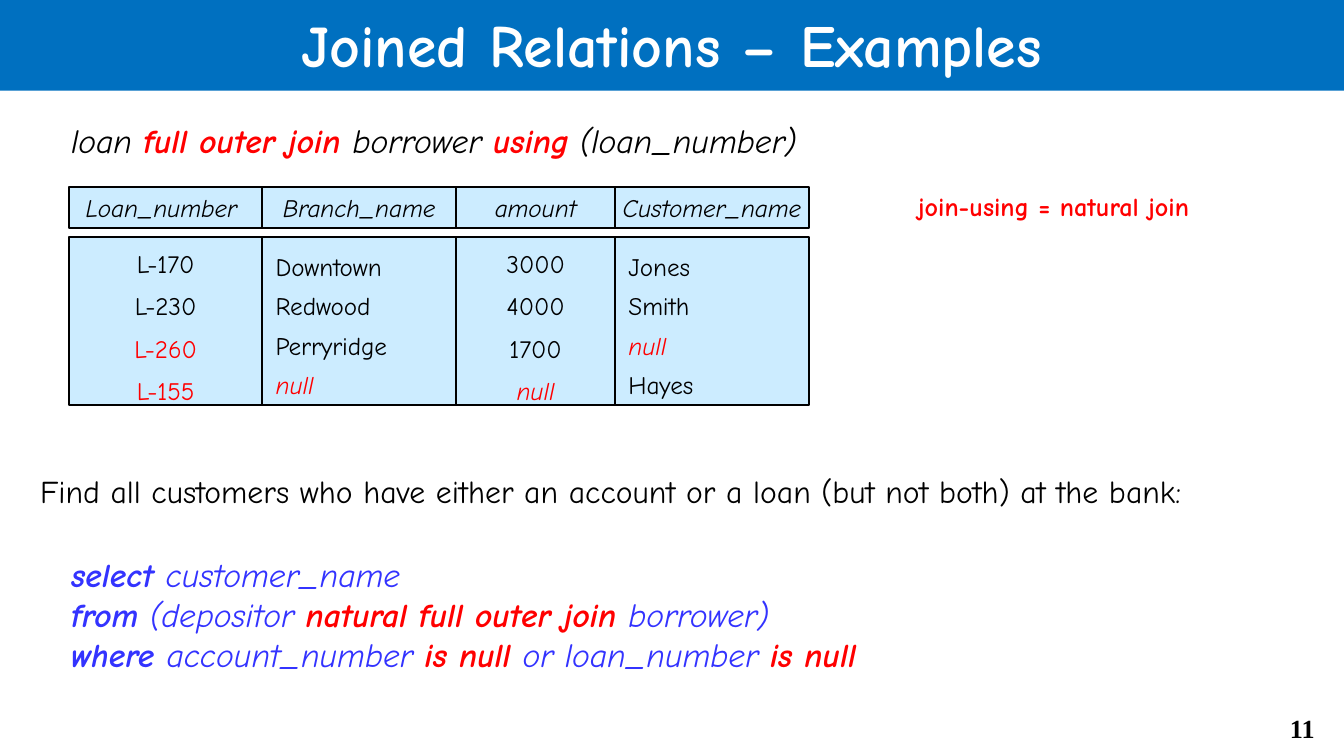
from dataclasses import dataclass
from itertools import accumulate

from pptx import Presentation
from pptx.dml.color import RGBColor
from pptx.enum.shapes import MSO_SHAPE
from pptx.enum.text import MSO_ANCHOR, PP_ALIGN
from pptx.shapes.autoshape import Shape
from pptx.shapes.group import GroupShape
from pptx.slide import Slide
from pptx.text.text import TextFrame, _Paragraph
from pptx.util import Pt


@dataclass(frozen=True)
class Theme:
    font: str = "Comic Neue"
    number_font: str = "Times New Roman"
    black: RGBColor = RGBColor(0, 0, 0)
    white: RGBColor = RGBColor(255, 255, 255)
    red: RGBColor = RGBColor(255, 0, 0)
    query_blue: RGBColor = RGBColor(0x33, 0x33, 0xFF)
    banner_blue: RGBColor = RGBColor(0x00, 0x70, 0xC0)
    cell_blue: RGBColor = RGBColor(0xCC, 0xEC, 0xFF)
    title_size: float = 32
    code_size: float = 18
    question_size: float = 17
    note_size: float = 14
    cell_size: float = 13.5


THEME = Theme()


@dataclass(frozen=True)
class Phrase:
    text: str
    color: RGBColor = THEME.black
    bold: bool = False
    italic: bool = False


@dataclass(frozen=True)
class Box:
    left: float
    top: float
    width: float
    height: float

    def lengths(self) -> tuple[Pt, ...]:
        return Pt(self.left), Pt(self.top), Pt(self.width), Pt(self.height)


@dataclass(frozen=True)
class Column:
    heading: str
    width: float
    values: tuple[Phrase, ...]
    align: PP_ALIGN
    spacing: float


Lines = list[list[Phrase]]


def write(paragraph: _Paragraph, lines: Lines, size: float,
          align: PP_ALIGN = PP_ALIGN.LEFT, font: str = THEME.font) -> None:
    """Write styled lines, separated by line breaks, into one paragraph."""
    paragraph.alignment = align
    paragraph.font.name, paragraph.font.size = font, Pt(size)
    runs = []
    for index, line in enumerate(lines):
        if index:
            paragraph.add_line_break()
        for phrase in line:
            run = paragraph.add_run()
            run.text = phrase.text
            runs.append((run, phrase))

    def targets(attribute: str) -> list:
        agreed = len({getattr(phrase, attribute) for _, phrase in runs}) == 1
        return [(paragraph, runs[0][1])] if agreed else runs

    for owner, phrase in targets("bold"):
        owner.font.bold = phrase.bold
    for owner, phrase in targets("italic"):
        owner.font.italic = phrase.italic
    for owner, phrase in targets("color"):
        owner.font.color.rgb = phrase.color


def add_text(slide: Slide, box: Box, lines: Lines, size: float,
             align: PP_ALIGN = PP_ALIGN.LEFT, font: str = THEME.font,
             wrap: bool = True) -> None:
    frame = slide.shapes.add_textbox(*box.lengths()).text_frame
    frame.word_wrap = wrap
    write(frame.paragraphs[0], lines, size, align, font)


def add_panel(parent: Slide | GroupShape, box: Box, fill: RGBColor) -> Shape:
    panel = parent.shapes.add_shape(MSO_SHAPE.RECTANGLE, *box.lengths())
    panel.shadow.inherit = False
    panel.fill.solid()
    panel.fill.fore_color.rgb = fill
    panel.line.fill.background()
    panel.text_frame.vertical_anchor = MSO_ANCHOR.MIDDLE
    return panel


def add_cell(table: GroupShape, box: Box) -> TextFrame:
    cell = add_panel(table, box, THEME.cell_blue)
    cell.line.color.rgb = THEME.black
    cell.line.width = Pt(1)
    cell.text_frame.word_wrap = False
    return cell.text_frame


def add_relation(slide: Slide, columns: list[Column], left: float) -> None:
    table = slide.shapes.add_group_shape()
    lefts = accumulate((column.width for column in columns), initial=left)
    for column, x in zip(columns, lefts):
        header = add_cell(table, Box(x, 100.1, column.width, 22.3))
        write(header.paragraphs[0], [[Phrase(column.heading, italic=True)]],
              THEME.cell_size, PP_ALIGN.CENTER)
        body = add_cell(table, Box(x, 126.9, column.width, 90))
        for row, value in enumerate(column.values):
            paragraph = body.add_paragraph() if row else body.paragraphs[0]
            paragraph.line_spacing = column.spacing
            write(paragraph, [[value]], THEME.cell_size, column.align)


def key(text: str) -> Phrase:
    return Phrase(text, THEME.red, bold=True, italic=True)


def name(text: str, color: RGBColor = THEME.black) -> Phrase:
    return Phrase(text, color, italic=True)


def clause(text: str) -> Phrase:
    return Phrase(text, THEME.query_blue, bold=True, italic=True)


NULL = Phrase("null", THEME.red, italic=True)
CENTERED = (PP_ALIGN.CENTER, 1.4)
LEFT = (PP_ALIGN.LEFT, 1.3)
COLUMNS = [
    Column("Loan_number ", 103.7,
           (Phrase("L-170"), Phrase("L-230"), Phrase("L-260", THEME.red),
            Phrase("L-155", THEME.red)), *CENTERED),
    Column("Branch_name", 103.7,
           (Phrase("Downtown"), Phrase("Redwood"), Phrase("Perryridge"), NULL),
           *LEFT),
    Column("amount", 85.3,
           (Phrase("3000"), Phrase("4000"), Phrase("1700"), NULL), *CENTERED),
    Column("Customer_name", 103.7,
           (Phrase("Jones"), Phrase("Smith"), NULL, Phrase("Hayes")), *LEFT),
]
JOIN = [[name("loan "), key("full outer join "), name("borrower "),
         key("using"), name(" (loan_number)")]]
QUERY = [
    [clause("select "), name("customer_name", THEME.query_blue)],
    [clause("from"), name(" (depositor ", THEME.query_blue),
     key("natural full outer join "), name("borrower)", THEME.query_blue)],
    [clause("where "), name("account_number ", THEME.query_blue),
     key("is null "), name("or loan_number ", THEME.query_blue),
     key("is null")],
]
QUESTION = ("Find all customers who have either an account or a loan "
            "(but not both) at the bank:")


def main() -> None:
    deck = Presentation()
    deck.slide_width, deck.slide_height = Pt(720), Pt(405)
    slide = deck.slides.add_slide(deck.slide_layouts[6])

    # Page number and title banner
    add_text(slide, Box(666, 378, 45.4, 24.5),
             [[Phrase("11", bold=True)]], THEME.note_size,
             PP_ALIGN.RIGHT, THEME.number_font)
    banner = add_panel(slide, Box(0, -1.6, 720, 50.2), THEME.banner_blue)
    write(banner.text_frame.paragraphs[0],
          [[Phrase("Joined Relations – Examples", THEME.white, bold=True)]],
          THEME.title_size, PP_ALIGN.CENTER)

    # Join expression, its result and the side note
    add_relation(slide, COLUMNS, left=36.9)
    add_text(slide, Box(31, 60.5, 448, 22.3), JOIN, THEME.code_size)
    add_text(slide, Box(484.6, 98.6, 215.3, 24.5),
             [[Phrase("join-using = natural join", THEME.red, bold=True)]],
             THEME.note_size)

    # Question and its query
    add_text(slide, Box(14.4, 249.1, 686.2, 44.6), [[Phrase(QUESTION)]],
             THEME.question_size)
    add_text(slide, Box(31, 293, 461.5, 72.7), QUERY, THEME.code_size,
             wrap=False)

    deck.save("out.pptx")


if __name__ == "__main__":
    main()
